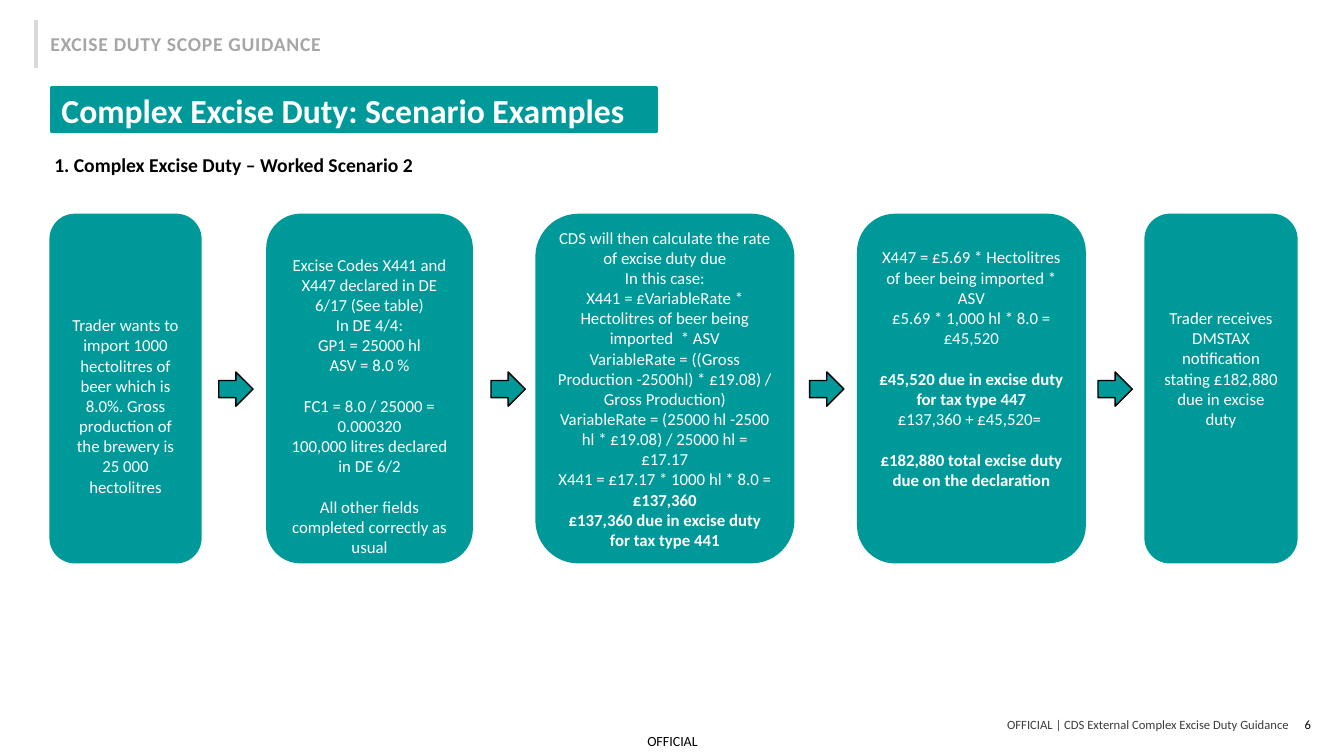
from dataclasses import dataclass
from lxml.etree import SubElement
from pptx import Presentation
from pptx.dml.color import RGBColor
from pptx.enum.shapes import MSO_CONNECTOR, MSO_SHAPE
from pptx.enum.text import MSO_ANCHOR, MSO_AUTO_SIZE, PP_ALIGN
from pptx.oxml.ns import qn
from pptx.util import Inches, Pt


@dataclass(frozen=True)
class Theme:
    """Colours, type sizes and font of the slide."""
    font: str = "Calibri"
    teal: str = "009999"
    white: str = "FFFFFF"
    black: str = "000000"
    rule: str = "D9D9D9"
    grey: str = "A6A6A6"
    dark: str = "3B3A3D"
    title: int = 24
    head: int = 14
    body: int = 12
    mark: int = 10
    foot: int = 9


@dataclass(frozen=True)
class Line:
    """One paragraph of a card."""
    text: str
    bold: bool = False
    gap: bool = False


THEME = Theme()
TOP, HIGH = 2.12, 3.47
ARROW, MID = 0.34, 3.86
ARROWS = (2.17, 4.87, 8.03, 10.89)
CARDS = (
    (0.49, 1.51, 0.17, (
        Line("Trader wants to import 1000 hectolitres of beer which is 8.0%. "
             "Gross production of the brewery is 25 000 hectolitres"),)),
    (2.64, 2.05, 0.17, (
        Line("Excise Codes X441 and X447 declared in DE 6/17 (See table)"),
        Line("In DE 4/4:"),
        Line("GP1 = 25000 hl"),
        Line("ASV = 8.0 %"),
        Line("FC1 = 8.0 / 25000 = 0.000320", gap=True),
        Line("100,000 litres declared in DE 6/2"),
        Line("All other fields completed correctly as usual", gap=True))),
    (5.31, 2.57, 0, (
        Line("CDS will then calculate the rate of excise duty due"),
        Line("In this case:"),
        Line("X441 = £VariableRate * Hectolitres of beer being imported  * ASV"),
        Line("VariableRate = ((Gross Production -2500hl) * £19.08) / Gross Production)"),
        Line("VariableRate = (25000 hl -2500 hl * £19.08) / 25000 hl = £17.17"),
        Line("X441 = £17.17 * 1000 hl * 8.0 = "),
        Line("£137,360", bold=True),
        Line("£137,360 due in excise duty for tax type 441", bold=True))),
    (8.5, 2.27, -0.2, (
        Line("X447 = £5.69 * Hectolitres of beer being imported * ASV"),
        Line("£5.69 * 1,000 hl * 8.0 = £45,520"),
        Line("£45,520 due in excise duty for tax type 447", bold=True, gap=True),
        Line("£137,360 + £45,520= "),
        Line("£182,880 total excise duty due on the declaration", bold=True, gap=True))),
    (11.35, 1.52, -0.2, (
        Line("Trader receives DMSTAX notification stating £182,880 due in excise duty"),)),
)


def rgb(code):
    """Turn a hex code into a colour."""
    return RGBColor.from_string(code)


def add_run(para, text, size, color, bold=False):
    """Add one formatted run and return it."""
    run = para.add_run()
    run.text = text
    font = run.font
    font.name, font.size, font.bold = THEME.font, Pt(size), bold
    font.color.rgb = rgb(color)
    return run


def add_label(slide, box, text, size, color, bold=False, align=PP_ALIGN.LEFT,
              anchor=MSO_ANCHOR.TOP, inset=True, wrap=True):
    """Add a one-line text box and return its run."""
    frame = slide.shapes.add_textbox(*map(Inches, box)).text_frame
    frame.word_wrap, frame.vertical_anchor = wrap, anchor
    if not inset:
        frame.margin_left = frame.margin_right = 0
        frame.margin_top = frame.margin_bottom = 0
    para = frame.paragraphs[0]
    para.alignment = align
    return add_run(para, text, size, color, bold)


def add_rule(slide, left):
    """Add one upright rule beside the header."""
    rule = slide.shapes.add_connector(
        MSO_CONNECTOR.STRAIGHT, Inches(left), Inches(0.2), Inches(left), Inches(0.67))
    rule.line.color.rgb = rgb(THEME.rule)
    rule.line.width = Pt(2.25)
    SubElement(rule._element.spPr, qn("a:effectLst"))


def set_title(slide, text):
    """Place and format the title banner."""
    title = slide.shapes.title
    title.left, title.top, title.width, title.height = map(Inches, (0.51, 0.87, 6, 0.44))
    title.fill.solid()
    title.fill.fore_color.rgb = rgb(THEME.teal)
    title.line.color.rgb = rgb(THEME.teal)
    title.line.width = Pt(2)
    frame = title.text_frame
    frame.auto_size, frame.word_wrap = MSO_AUTO_SIZE.NONE, True
    frame.vertical_anchor = MSO_ANCHOR.MIDDLE
    para = frame.paragraphs[0]
    para.alignment = PP_ALIGN.LEFT
    add_run(para, text, THEME.title, THEME.white, True)


def add_block(slide, kind, box):
    """Add a flat teal shape."""
    shape = slide.shapes.add_shape(kind, *map(Inches, box))
    shape.shadow.inherit = False
    shape.fill.solid()
    shape.fill.fore_color.rgb = rgb(THEME.teal)
    return shape


def add_card(slide, left, width, shift, lines):
    """Add a rounded card with its text moved down by shift."""
    card = add_block(slide, MSO_SHAPE.ROUNDED_RECTANGLE, (left, TOP, width, HIGH))
    card.line.fill.background()
    frame = card.text_frame
    frame.word_wrap, frame.vertical_anchor = True, MSO_ANCHOR.MIDDLE
    frame.margin_top = Inches(0.05 + max(2 * shift, 0))
    frame.margin_bottom = Inches(0.05 + max(-2 * shift, 0))
    for spot, line in enumerate(lines):
        para = frame.add_paragraph() if spot else frame.paragraphs[0]
        para.alignment = PP_ALIGN.CENTER
        if line.gap:
            para.space_before = Pt(14.6)
        add_run(para, line.text, THEME.body, THEME.white, line.bold)


def add_arrow(slide, left):
    """Add a block arrow between two cards."""
    arrow = add_block(slide, MSO_SHAPE.RIGHT_ARROW, (left, MID - ARROW / 2, ARROW, ARROW))
    arrow.line.color.rgb = rgb(THEME.black)
    arrow.line.width = Pt(1)


def main():
    """Build and save the slide."""
    deck = Presentation()
    deck.slide_width, deck.slide_height = Inches(13.33), Inches(7.5)
    slide = deck.slides.add_slide(deck.slide_layouts[5])
    for left in (0.36, 0.35):
        add_rule(slide, left)
    head = add_label(slide, (0.4, 0.27, 2.91, 0.34), "EXCISE DUTY SCOPE GUIDANCE",
                     THEME.head, THEME.grey, bold=True, wrap=False)
    head.font._element.set("spc", "50")
    set_title(slide, "Complex Excise Duty: Scenario Examples")
    add_label(slide, (0.44, 1.47, 12.34, 0.33), "1. Complex Excise Duty – Worked Scenario 2",
              THEME.head, THEME.black, bold=True)
    for card in CARDS:
        add_card(slide, *card)
    for left in ARROWS:
        add_arrow(slide, left)
    add_label(slide, (3.22, 7.11, 9.56, 0.16),
              "OFFICIAL | CDS External Complex Excise Duty Guidance", THEME.foot, THEME.dark,
              align=PP_ALIGN.RIGHT, anchor=MSO_ANCHOR.MIDDLE, inset=False)
    add_label(slide, (12.61, 6.99, 0.49, 0.4), "6", THEME.foot, THEME.black,
              align=PP_ALIGN.RIGHT, anchor=MSO_ANCHOR.MIDDLE)
    add_label(slide, (6.27, 7.21, 0.8, 0.29), "OFFICIAL", THEME.mark, THEME.black,
              align=PP_ALIGN.CENTER, anchor=MSO_ANCHOR.MIDDLE, inset=False)
    deck.save("out.pptx")


if __name__ == "__main__":
    main()
